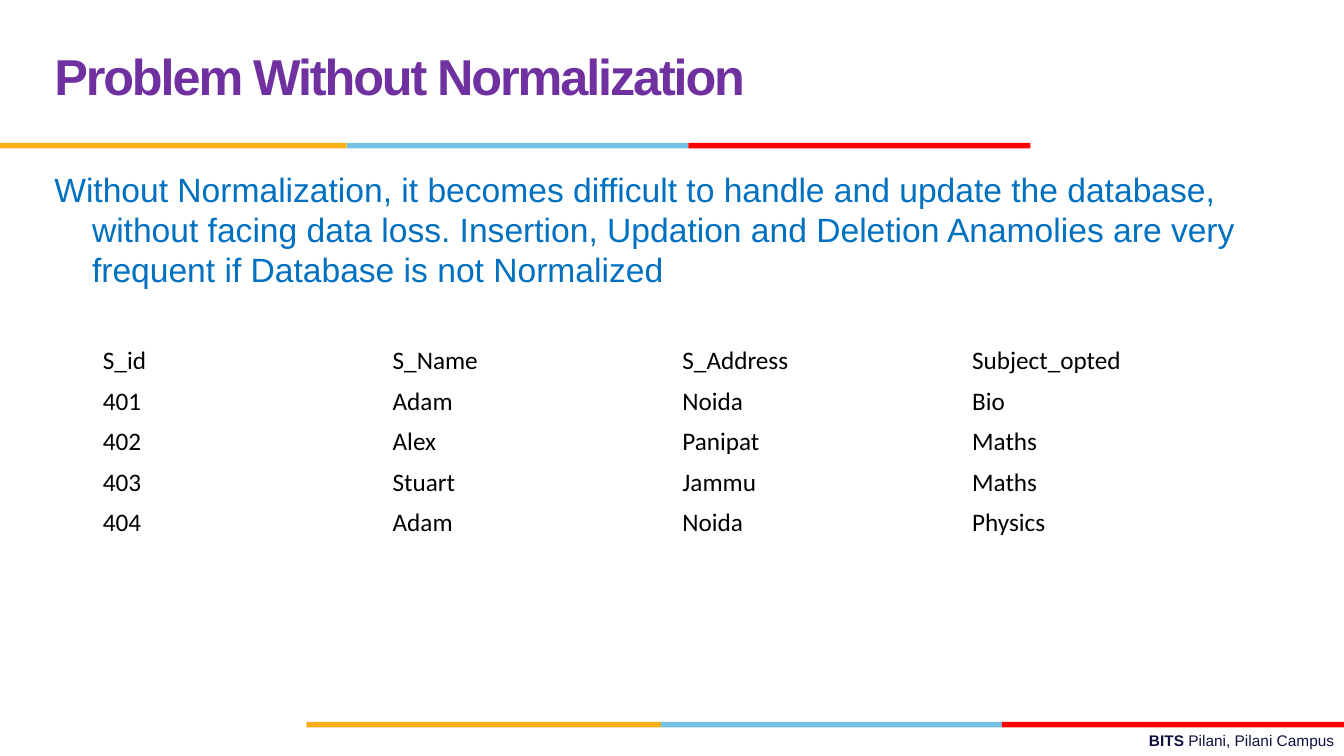
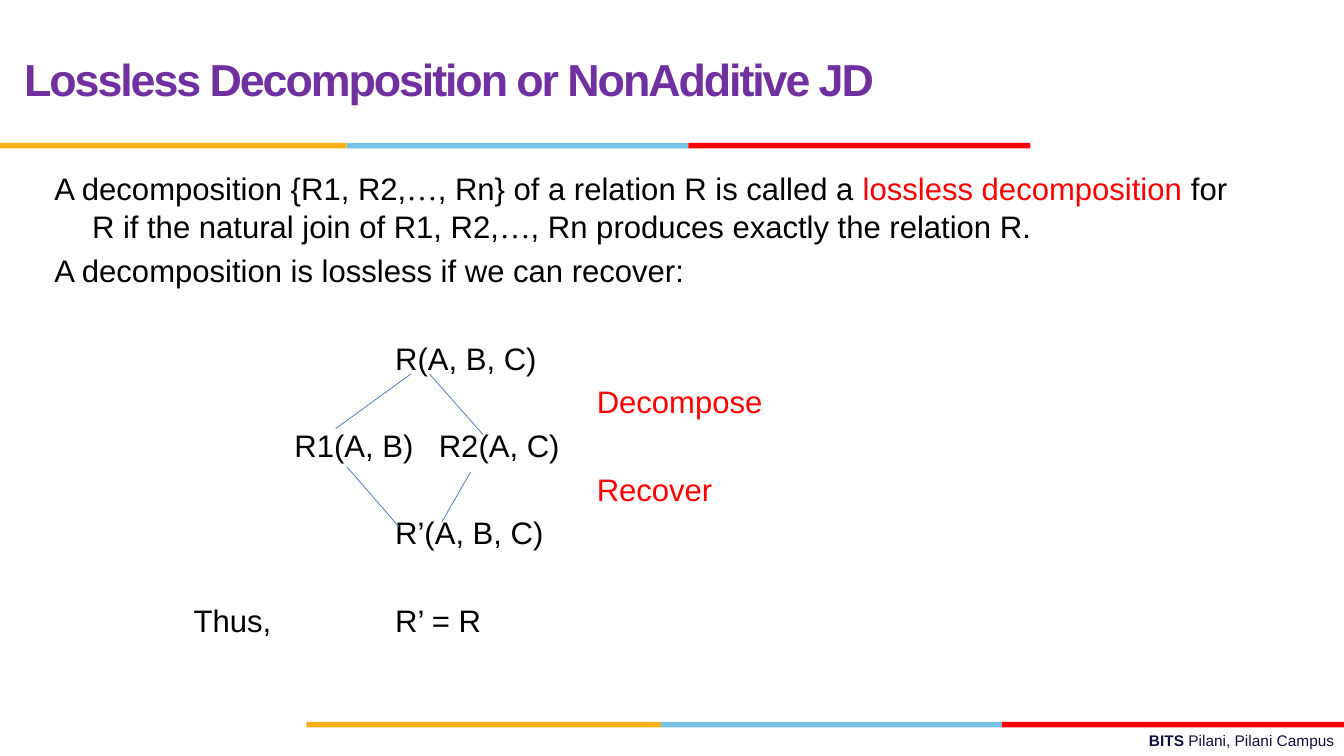
from lxml import etree
from pptx import Presentation
from pptx import util as u
from pptx.dml.color import RGBColor
from pptx.enum import shapes, text
from pptx.oxml.ns import qn

COLOURS = {
    "yellow": "FCB017", "sky": "76C2E5", "red": "FF0000", "navy": "101141",
    "purple": "7030A0", "blue": "0070C0", "black": "000000", "line": "4472C4",
}
BAR_COLOURS = ("yellow", "sky", "red")
TOP_BAR_EDGES = (0, 8.74, 17.35, 25.97)
BOTTOM_BAR_EDGES = (7.72, 16.66, 25.25, 33.87)

TITLE_FORMAT = {"name": "Arial", "bold": True}
BODY_FORMAT = {"name": "Arial", "size": u.Pt(22.2)}
FOOTER_FORMAT = {"name": "Arial", "size": u.Pt(11)}
TABLE_FORMAT = {"name": "Calibri", "size": u.Pt(18), "bold": False}

STUDENTS = (
    ("S_id", "S_Name", "S_Address", "Subject_opted"),
    ("401", "Adam", "Noida", "Bio"),
    ("402", "Alex", "Panipat", "Maths"),
    ("403", "Stuart", "Jammu", "Maths"),
    ("404", "Adam", "Noida", "Physics"),
)

ELLIPSIS = ("…", "black", {"name": "Times New Roman"})
DEFINITION = (
    (
        ("A decomposition {R1, R2,", "black", {}),
        ELLIPSIS,
        (", Rn} of a relation R is called a ", "black", {}),
        ("lossless decomposition", "red", {}),
        (" for R if the natural join of R1, R2,", "black", {}),
        ELLIPSIS,
        (", Rn produces exactly the relation R.", "black", {}),
    ),
    (("A decomposition is lossless if we can recover:", "black", {}),),
)

# Diagram labels: left edge in cm, row number, wording, colour
LABELS = (
    (9.96, 0, "R(A, B, C)", "black"),
    (15.04, 1, "Decompose", "red"),
    (7.42, 2, "R1(A, B)", "black"),
    (11.06, 2, "R2(A, C)", "black"),
    (15.04, 3, "Recover", "red"),
    (9.96, 4, "R’(A, B, C)", "black"),
    (4.88, 6, "Thus,", "black"),
    (9.96, 6, "R’ = R", "black"),
)
FIRST_ROW_TOP, ROW_PITCH, ROW_HEIGHT = 8.57, 1.1, 0.9

# Diagram lines in cm: start x, start y, end x, end y
BRANCHES = (
    (10.36, 9.42, 8.46, 10.8),
    (10.82, 9.42, 12.17, 10.95),
    (8.74, 11.76, 10.06, 13.28),
    (11.86, 11.89, 11.13, 13.16),
)


def colour(name):
    return RGBColor.from_string(COLOURS[name])


def set_attributes(target, values):
    for name, value in values.items():
        setattr(target, name, value)


def add_run(paragraph, wording, colour_name, font_format):
    run = paragraph.add_run()
    run.text = wording
    set_attributes(run.font, font_format)
    run.font.color.rgb = colour(colour_name)
    return run


def add_text_box(slide, left, top, width, height, frame_format):
    box = slide.shapes.add_textbox(*map(u.Cm, (left, top, width, height)))
    set_attributes(box.text_frame, {"word_wrap": True, **frame_format})
    return box.text_frame


def add_bars(slide, edges, top):
    """Draw one strip of three coloured bars between the given edges."""
    for left, right, name in zip(edges, edges[1:], BAR_COLOURS):
        bar = slide.shapes.add_shape(
            shapes.MSO_SHAPE.RECTANGLE,
            u.Cm(left), u.Cm(top), u.Cm(right - left), u.Cm(0.14))
        bar.shadow.inherit = False
        bar.fill.solid()
        bar.fill.fore_color.rgb = colour(name)
        bar.line.fill.background()


def add_footer(slide):
    frame = add_text_box(slide, 12.14, 18.31, 21.74, 0.74, {})
    paragraph = frame.paragraphs[0]
    paragraph.alignment = text.PP_ALIGN.RIGHT
    for wording, bold in (("BITS ", True), ("Pilani, Pilani Campus", False)):
        add_run(paragraph, wording, "navy", {**FOOTER_FORMAT, "bold": bold})


def add_title(slide, wording, left, size):
    frame = add_text_box(slide, left, 0.43, 24.64, 3.18,
                         {"vertical_anchor": text.MSO_ANCHOR.MIDDLE})
    paragraph = frame.paragraphs[0]
    paragraph.line_spacing = u.Pt(36)
    run = add_run(paragraph, wording, "purple",
                  {**TITLE_FORMAT, "size": u.Pt(size)})
    run.font._element.set("spc", "-150")


def add_framed_slide(presentation, title, title_left, title_size):
    """Add a slide with the shared bars, footer and title."""
    slide = presentation.slides.add_slide(presentation.slide_layouts[6])
    add_bars(slide, TOP_BAR_EDGES, 3.6)
    add_bars(slide, BOTTOM_BAR_EDGES, 18.19)
    add_footer(slide)
    add_title(slide, title, title_left, title_size)
    return slide


def add_body(slide, paragraphs, font_format, line_points):
    """Add paragraphs of runs with a hanging indent."""
    frame = add_text_box(slide, 1.12, 4.14, 30.48, 3.5, {})
    for index, runs in enumerate(paragraphs):
        paragraph = frame.add_paragraph() if index else frame.paragraphs[0]
        paragraph.line_spacing = u.Pt(line_points)
        if index:
            paragraph.space_before = u.Pt(4)
        properties = paragraph._p.get_or_add_pPr()
        properties.set("marL", str(u.Cm(0.95)))
        properties.set("indent", str(u.Cm(-0.95)))
        for wording, colour_name, extra in runs:
            add_run(paragraph, wording, colour_name, {**font_format, **extra})


def add_plain_table(slide, rows):
    table = slide.shapes.add_table(
        len(rows), len(rows[0]),
        u.Cm(2.34), u.Cm(8.59), u.Cm(29.21), u.Cm(5.08)).table
    set_attributes(table, {"first_row": False, "horz_banding": False})
    for row, values in zip(table.rows, rows):
        for cell, value in zip(row.cells, values):
            cell.fill.background()
            cell.vertical_anchor = text.MSO_ANCHOR.MIDDLE
            add_run(cell.text_frame.paragraphs[0], value, "black", TABLE_FORMAT)


def add_label(slide, left, row, wording, colour_name):
    frame = add_text_box(
        slide, left, FIRST_ROW_TOP + row * ROW_PITCH, 4.6, ROW_HEIGHT,
        {"margin_left": 0, "margin_right": 0, "margin_top": 0,
         "margin_bottom": 0, "word_wrap": False,
         "vertical_anchor": text.MSO_ANCHOR.MIDDLE})
    add_run(frame.paragraphs[0], wording, colour_name, BODY_FORMAT)


def add_branch(slide, *ends):
    branch = slide.shapes.add_connector(
        shapes.MSO_CONNECTOR.STRAIGHT, *map(u.Cm, ends))
    branch.line.color.rgb = colour("line")
    branch.line.width = u.Pt(0.5)
    etree.SubElement(branch._element.spPr, qn("a:effectLst"))


def build_problem_slide(presentation):
    slide = add_framed_slide(
        presentation, "Problem Without Normalization", 1.12, 36)
    wording = (
        "Without Normalization, it becomes difficult to handle and update the "
        "database, without facing data loss. Insertion, Updation and Deletion "
        "Anamolies are very frequent if Database is not Normalized")
    add_body(slide, [[(wording, "blue", {})]],
             {**BODY_FORMAT, "size": u.Pt(24)}, 28.5)
    add_plain_table(slide, STUDENTS)


def build_decomposition_slide(presentation):
    slide = add_framed_slide(
        presentation, "Lossless Decomposition or NonAdditive JD", 0.36, 32)
    add_body(slide, DEFINITION, BODY_FORMAT, 27)
    for label in LABELS:
        add_label(slide, *label)
    for branch in BRANCHES:
        add_branch(slide, *branch)


def main():
    presentation = Presentation()
    presentation.slide_width = u.Cm(33.87)
    presentation.slide_height = u.Cm(19.05)
    build_problem_slide(presentation)
    build_decomposition_slide(presentation)
    presentation.save("out.pptx")


if __name__ == "__main__":
    main()
